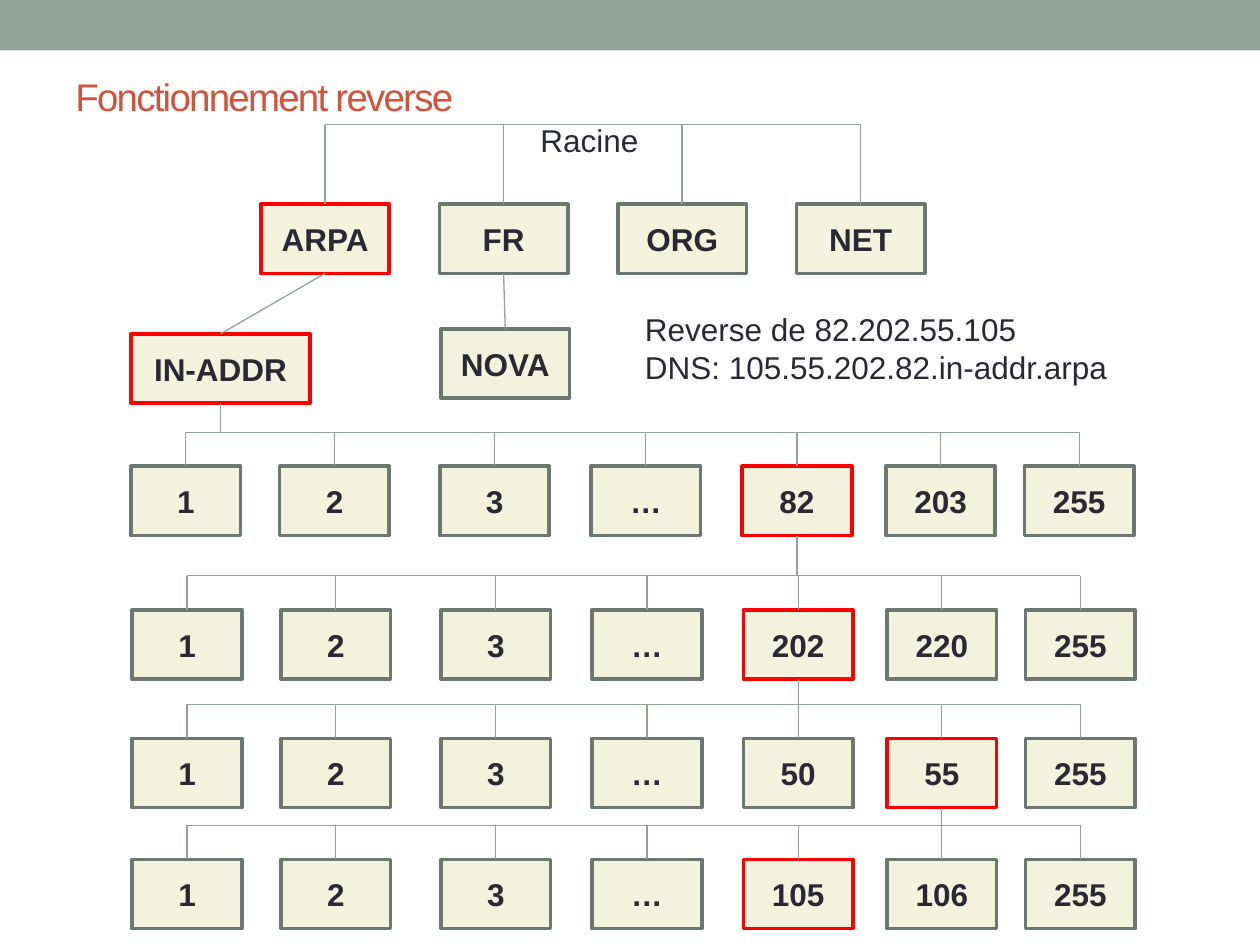
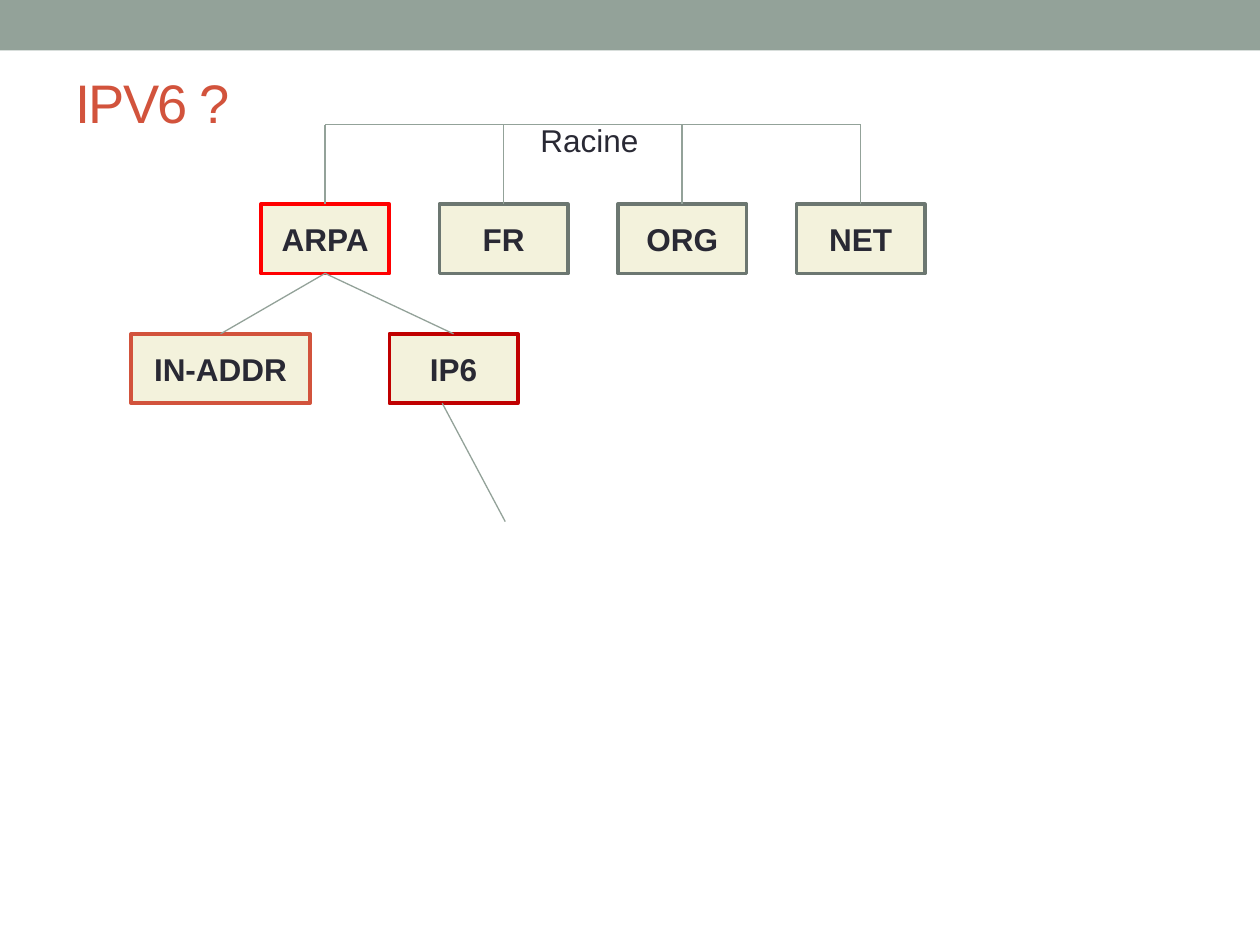
from pptx import Presentation
from pptx import util as u
from pptx.dml import color
from pptx.enum import shapes, text
from lxml import etree

FONT = "Arial"
SAGE, RUST, INK, CREAM, EDGE = "93A299", "D2533C", "292934", "F3F2DC", "6C7771"
RED, DARK = "FF0000", "C00000"
TALL = 0.55
WIDE = 1.02

ROOTS = ["ARPA", "FR", "ORG", "NET"]
ROOT = dict(left=2.07, step=1.417, top=1.62, bus=0.99)
COLS = [0, 1.18, 2.45, 3.65, 4.85, 5.99, 7.09]
ROWS = [
    (1.04, 3.70, ["1", "2", "3", "…", "82", "203", "255"], "82"),
    (1.05, 4.84, ["1", "2", "3", "…", "202", "220", "255"], "202"),
    (1.05, 5.86, ["1", "2", "3", "…", "50", "55", "255"], "55"),
    (1.05, 6.82, ["1", "2", "3", "…", "105", "106", "255"], "105"),
]
RISE = 0.27
NOTE = ["Reverse de 82.202.55.105", "DNS: 105.55.202.82.in-addr.arpa"]


def rgb(code):
    return color.RGBColor.from_string(code)


def style(para, size, code, bold=False):
    font = para.font
    font.name, font.size, font.bold = FONT, u.Pt(size), bold
    font.color.rgb = rgb(code)


def rect(slide, left, top, wide, tall, fill):
    shape = slide.shapes.add_shape(
        shapes.MSO_SHAPE.RECTANGLE, *map(u.Inches, (left, top, wide, tall)))
    shape.shadow.inherit = False
    shape.fill.solid()
    shape.fill.fore_color.rgb = rgb(fill)
    return shape


def node(slide, label, left, top, wide=WIDE, edge=EDGE):
    box = rect(slide, left, top, wide, TALL, CREAM)
    box.line.color.rgb = rgb(edge)
    box.line.width = u.Pt(2.07)
    frame = box.text_frame
    frame.vertical_anchor = text.MSO_ANCHOR.MIDDLE
    para = frame.paragraphs[0]
    para.text = label
    para.alignment = text.PP_ALIGN.CENTER
    style(para, 18, INK, True)
    return box


def words(slide, lines, left, top, wide, tall, size=18, code=INK):
    box = slide.shapes.add_textbox(*map(u.Inches, (left, top, wide, tall)))
    frame = box.text_frame
    frame.word_wrap = True
    frame.text = "\n".join(lines)
    for para in frame.paragraphs:
        style(para, size, code)
    return frame


def wire(slide, start, end):
    spots = [p if isinstance(p, tuple) else (0, 0) for p in (start, end)]
    line = slide.shapes.add_connector(
        shapes.MSO_CONNECTOR.STRAIGHT,
        *(u.Inches(n) for spot in spots for n in spot))
    if not isinstance(start, tuple):
        line.begin_connect(start, 2)
    if not isinstance(end, tuple):
        line.end_connect(end, 0)
    line.line.color.rgb = rgb(SAGE)
    line.line.width = u.Pt(0.75)
    props = line._element.spPr
    etree.SubElement(props, props.nsmap["a"].join("{}") + "effectLst")


def mid(box):
    return u.Emu(box.left + box.width // 2).inches


def comb(slide, boxes, level):
    wire(slide, (mid(boxes[0]), level), (mid(boxes[-1]), level))
    for box in boxes:
        wire(slide, (mid(box), level), box)


def page(deck, title, size):
    slide = deck.slides.add_slide(deck.slide_layouts[6])
    rect(slide, 0, 0, 10, 0.4, SAGE).line.fill.background()
    frame = words(slide, [title], 0.5, 0.58, 9, 0.6, size, RUST)
    frame.margin_top = u.Inches(0.07)
    para = frame.paragraphs[0]
    para.line_spacing = 0.8
    para.runs[0]._r.get_or_add_rPr().set("spc", "-100")
    return slide


def roots(slide, edge):
    boxes = [node(slide, name, ROOT["left"] + i * ROOT["step"], ROOT["top"],
                  edge=RED if name == "ARPA" else EDGE)
             for i, name in enumerate(ROOTS)]
    comb(slide, boxes, ROOT["bus"])
    words(slide, ["Racine"], 4.19, 0.91, 1.15, 0.4)
    addr = node(slide, "IN-ADDR", 1.04, 2.65, 1.42, edge)
    wire(slide, boxes[0], addr)
    return boxes, addr


def reverse(deck):
    slide = page(deck, "Fonctionnement reverse", 22)
    tops, hot = roots(slide, RED)
    wire(slide, tops[1], node(slide, "NOVA", 3.5, 2.61))
    words(slide, NOTE, 5.02, 2.41, 4.78, 0.7)
    for left, top, names, pick in ROWS:
        boxes = [node(slide, name, left + col, top, 0.87,
                      RED if name == pick else EDGE)
                 for name, col in zip(names, COLS)]
        comb(slide, boxes, top - RISE)
        wire(slide, hot, (mid(hot), top - RISE))
        hot = boxes[names.index(pick)]


def six(deck):
    slide = page(deck, "IPV6 ?", 31)
    tops, _ = roots(slide, RUST)
    wire(slide, tops[0], node(slide, "IP6", 3.09, 2.65, edge=DARK))
    wire(slide, (3.51, 3.2), (4.01, 4.14))


def main():
    deck = Presentation()
    deck.slide_width, deck.slide_height = u.Inches(10), u.Inches(7.5)
    reverse(deck)
    six(deck)
    deck.save("out.pptx")


if __name__ == "__main__":
    main()
